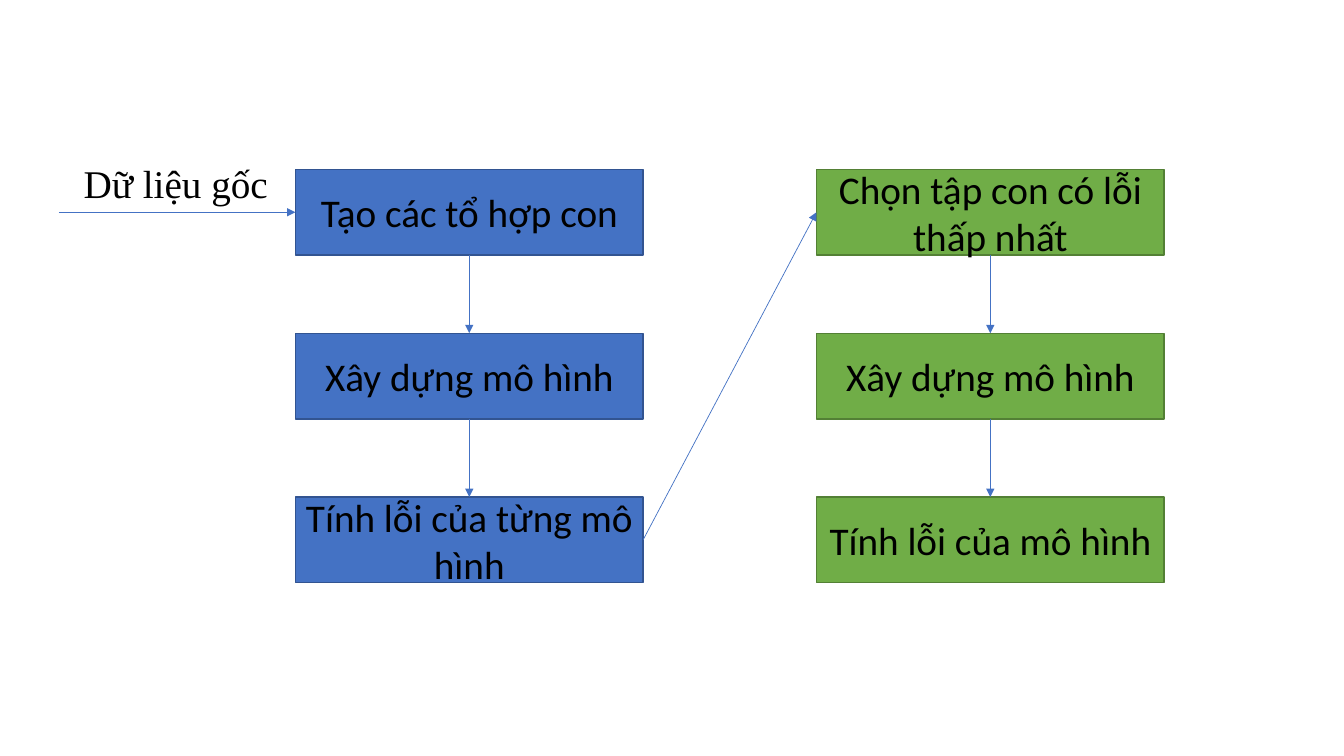
import pptx
import pptx.util
import pptx.dml.color
import pptx.enum.shapes
import pptx.enum.text
import pptx.oxml

Pt = pptx.util.Pt
RGB = pptx.dml.color.RGBColor.from_string
ALIGN = pptx.enum.text.PP_ALIGN
ANCHOR = pptx.enum.text.MSO_ANCHOR
RECT = pptx.enum.shapes.MSO_SHAPE.RECTANGLE
LINE = pptx.enum.shapes.MSO_CONNECTOR.STRAIGHT

INPUT = "Dữ liệu gốc"
STAGES = [
    ("blue", ["Tạo các tổ hợp con", "Xây dựng mô hình", "Tính lỗi của từng mô hình"]),
    ("green", ["Chọn tập con có lỗi thấp nhất", "Xây dựng mô hình", "Tính lỗi của mô hình"]),
]
THEME = {
    "blue": ("4472C4", "325491"),
    "green": ("70AD47", "538035"),
    "arrow": "4472C4",
    "text": "000000",
    "size": 28,
    "step": "Calibri",
    "input": "Times New Roman",
}
SLIDE = (960, 540)
LEFT, TOP, WIDTH, HEIGHT = 211, 121, 248.4, 61.2
COL, ROW = 372.2, 117
START = 42
LABEL = (52.6, 113.8, 147.6, 38.2)
SITE = {"top": 0, "left": 1, "bottom": 2, "right": 3}


def assign(item, values):
    for name, value in values.items():
        setattr(item, name, value)


def write(frame, text, font, format, anchor):
    assign(frame, {"word_wrap": True, "vertical_anchor": anchor})
    para = frame.paragraphs[0]
    assign(para, format)
    run = para.add_run()
    run.text = text
    assign(run.font, {"name": font, "size": Pt(THEME["size"])})
    run.font.color.rgb = RGB(THEME["text"])


def add_step(slide, text, tone, col, row):
    spot = (LEFT + col * COL, TOP + row * ROW, WIDTH, HEIGHT)
    box = slide.shapes.add_shape(RECT, *map(Pt, spot))
    fill, edge = THEME[tone]
    box.shadow.inherit = False
    box.fill.solid()
    box.fill.fore_color.rgb = RGB(fill)
    box.line.color.rgb = RGB(edge)
    box.line.width = Pt(1)
    write(box.text_frame, text, THEME["step"], {"alignment": ALIGN.CENTER}, ANCHOR.MIDDLE)
    return box


def add_arrow(slide, goal, side, source=None, exit="bottom"):
    level = Pt(TOP + HEIGHT / 2)
    arrow = slide.shapes.add_connector(LINE, Pt(START), level, Pt(LEFT), level)
    if source is not None:
        arrow.begin_connect(source, SITE[exit])
    arrow.end_connect(goal, SITE[side])
    arrow.line.color.rgb = RGB(THEME["arrow"])
    arrow.line.width = Pt(0.5)
    make = pptx.oxml.xmlchemy.OxmlElement
    head = make("a:tailEnd")
    head.set("type", "triangle")
    arrow.line._get_or_add_ln().append(head)
    arrow._element.spPr.append(make("a:effectLst"))


def main():
    deck = pptx.Presentation()
    assign(deck, {"slide_width": Pt(SLIDE[0]), "slide_height": Pt(SLIDE[1])})
    slide = deck.slides.add_slide(deck.slide_layouts[6])

    label = slide.shapes.add_textbox(*map(Pt, LABEL))
    format = {"line_spacing": 0.9, "space_before": Pt(10)}
    write(label.text_frame, INPUT, THEME["input"], format, ANCHOR.TOP)

    last = None
    for col, (tone, steps) in enumerate(STAGES):
        for row, text in enumerate(steps):
            box = add_step(slide, text, tone, col, row)
            if row:
                add_arrow(slide, box, "top", last)
            else:
                add_arrow(slide, box, "left", last, "right")
            last = box

    deck.save("out.pptx")


if __name__ == "__main__":
    main()
